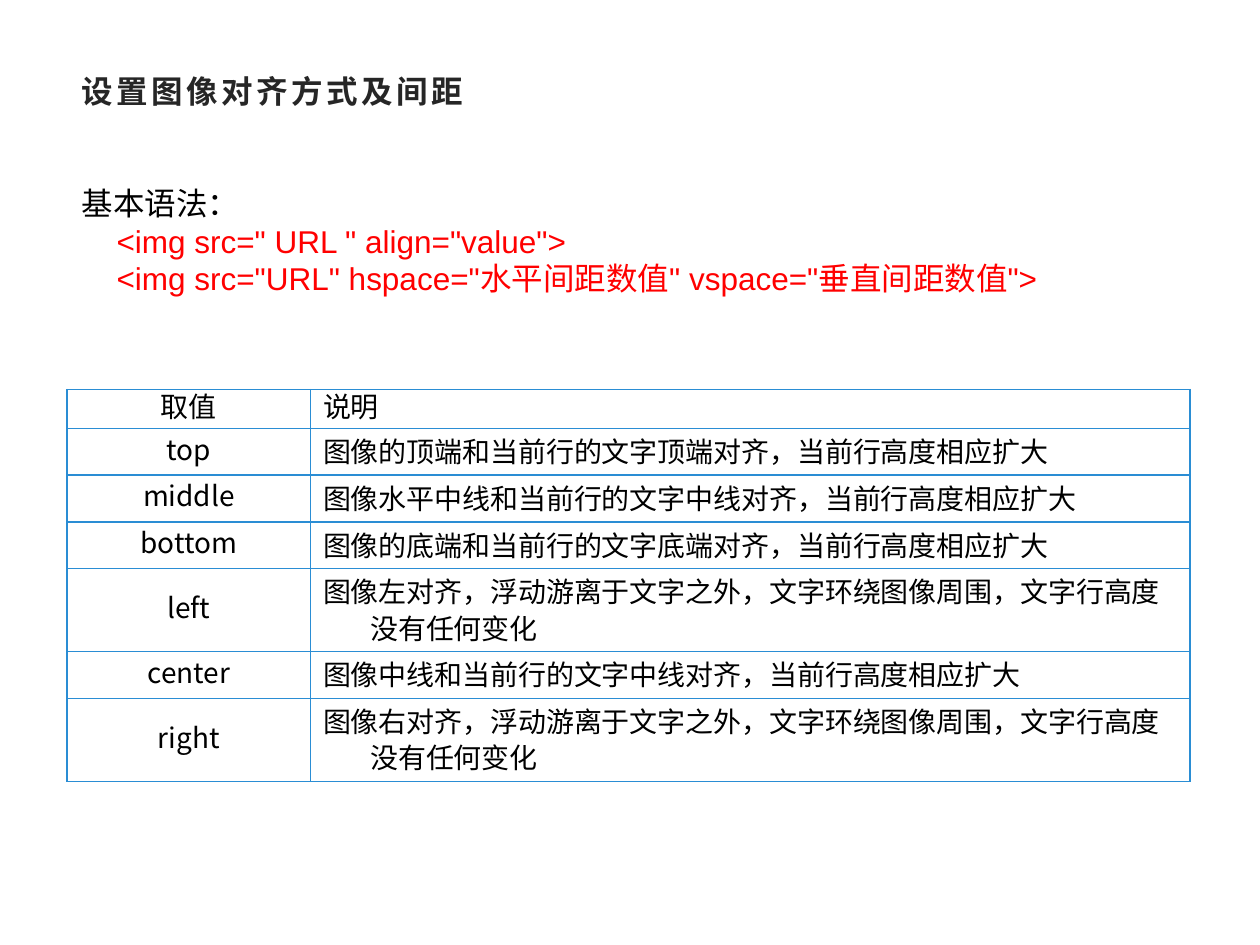
"""Builds a slide on image alignment and spacing in HTML."""
from dataclasses import dataclass

from lxml.etree import SubElement
from pptx import Presentation
from pptx.dml.color import RGBColor
from pptx.enum.text import MSO_ANCHOR as Anchor, MSO_AUTO_SIZE as AutoSize, PP_ALIGN as Align
from pptx.oxml import parse_xml
from pptx.oxml.ns import nsdecls, qn
from pptx.util import Pt

BLACK = RGBColor(0x00, 0x00, 0x00)
CHARCOAL = RGBColor(0x26, 0x26, 0x26)
RED = RGBColor(0xFF, 0x00, 0x00)
BLUE = RGBColor(0x2A, 0x8D, 0xD4)
LATIN = "Arial"
CJK = "Noto Sans CJK SC"
HANG = Pt(27)
TAB = Pt(63.5)
COLUMN_WIDTHS = (Pt(139), Pt(502.6))


@dataclass
class Line:
    text: str
    color: RGBColor
    bold: bool = False
    tracking: float = 0


@dataclass
class Value:
    name: str
    meaning: str
    height: float = 23
    name_anchor: Anchor = Anchor.MIDDLE
    meaning_spacing: float = 0.9


TITLE = [Line("设置图像对齐方式及间距", CHARCOAL, bold=True, tracking=2)]
SYNTAX = [
    Line("基本语法：", BLACK),
    Line('    <img src=" URL " align="value">', RED),
    Line('    <img src="URL" hspace="水平间距数值" vspace="垂直间距数值">', RED),
]
VALUES = [
    Value("取值", "说明", 19, Anchor.TOP, 0.7),
    Value("top", "图像的顶端和当前行的文字顶端对齐，当前行高度相应扩大"),
    Value("middle", "图像水平中线和当前行的文字中线对齐，当前行高度相应扩大"),
    Value("bottom", "图像的底端和当前行的文字底端对齐，当前行高度相应扩大"),
    Value("left", "图像左对齐，浮动游离于文字之外，文字环绕图像周围，文字行高度没有任何变化", 40),
    Value("center", "图像中线和当前行的文字中线对齐，当前行高度相应扩大"),
    Value("right", "图像右对齐，浮动游离于文字之外，文字环绕图像周围，文字行高度没有任何变化", 40),
]


def set_font(paragraph, name: str, size: float, color: RGBColor, bold: bool = False) -> None:
    font = paragraph.font
    font.name, font.size, font.bold = name, Pt(size), bold
    font.color.rgb = color
    defaults = paragraph._p.pPr.find(qn("a:defRPr"))
    SubElement(defaults, qn("a:ea"), typeface=CJK)


def add_lines(slide, left: float, top: float, width: float, height: float,
              lines: list[Line], anchor: Anchor = Anchor.TOP) -> None:
    frame = slide.shapes.add_textbox(Pt(left), Pt(top), Pt(width), Pt(height)).text_frame
    frame.word_wrap = True
    frame.auto_size = AutoSize.NONE
    frame.vertical_anchor = anchor
    for index, line in enumerate(lines):
        paragraph = frame.add_paragraph() if index else frame.paragraphs[0]
        paragraph.text = line.text
        set_font(paragraph, LATIN, 18, line.color, line.bold)
        if line.tracking:
            paragraph._p.pPr.find(qn("a:defRPr")).set("spc", str(round(line.tracking * 100)))


def add_borders(cell) -> None:
    properties = cell._tc.get_or_add_tcPr()
    for index, side in enumerate(("lnL", "lnR", "lnT", "lnB")):
        properties.insert(index, parse_xml(
            f'<a:{side} {nsdecls("a")} w="{Pt(1)}"><a:solidFill>'
            f'<a:srgbClr val="{BLUE}"/></a:solidFill></a:{side}>'))


def fill_cell(cell, text: str, align: Align, anchor: Anchor, spacing: float) -> None:
    cell.fill.background()
    cell.vertical_anchor = anchor
    cell.margin_left = cell.margin_right = Pt(7.2)
    cell.margin_top = cell.margin_bottom = Pt(3)
    add_borders(cell)
    paragraph = cell.text_frame.paragraphs[0]
    paragraph.text = text
    paragraph.alignment = align
    paragraph.line_spacing = spacing
    properties = paragraph._p.get_or_add_pPr()
    properties.set("marL", str(HANG))
    properties.set("indent", str(-HANG))
    SubElement(SubElement(properties, qn("a:tabLst")), qn("a:tab"), pos=str(TAB), algn="l")
    set_font(paragraph, CJK, 16, BLACK)


def add_value_table(slide, left: float, top: float, values: list[Value]) -> None:
    height = Pt(sum(value.height for value in values))
    table = slide.shapes.add_table(len(values), len(COLUMN_WIDTHS), Pt(left), Pt(top),
                                   sum(COLUMN_WIDTHS), height).table
    table.first_row = table.horz_banding = False
    for column, width in zip(table.columns, COLUMN_WIDTHS):
        column.width = width
    for row, value in zip(table.rows, values):
        row.height = Pt(value.height)
        name, meaning = row.cells
        fill_cell(name, value.name, Align.CENTER, value.name_anchor, 0.7)
        fill_cell(meaning, value.meaning, Align.LEFT, Anchor.TOP, value.meaning_spacing)


def main() -> None:
    deck = Presentation()
    deck.slide_width, deck.slide_height = Pt(720), Pt(540)
    slide = deck.slides.add_slide(deck.slide_layouts[6])
    add_lines(slide, 39.6, 34.6, 640.8, 34.6, TITLE, Anchor.MIDDLE)
    add_value_table(slide, 38.4, 222.6, VALUES)
    add_lines(slide, 39.6, 101.5, 584, 72.7, SYNTAX)
    deck.save("out.pptx")


if __name__ == "__main__":
    main()
